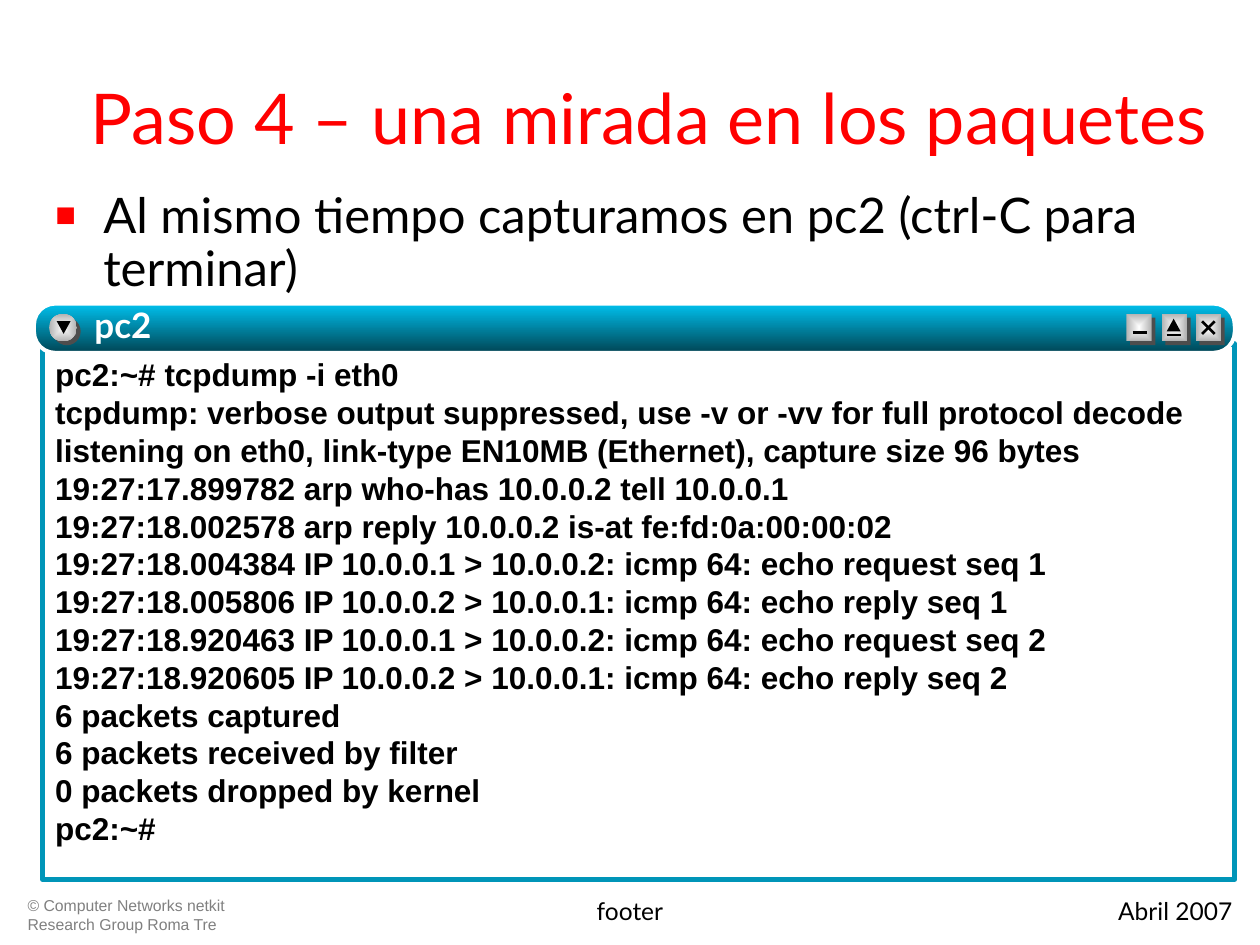
from lxml.etree import SubElement
from pptx import Presentation
from pptx.dml.color import RGBColor
from pptx.enum.shapes import MSO_CONNECTOR, MSO_SHAPE
from pptx.enum.text import MSO_ANCHOR, MSO_AUTO_SIZE, PP_ALIGN
from pptx.oxml import parse_xml
from pptx.oxml.ns import nsdecls, qn
from pptx.util import Pt

PX = 9144  # 100 px to the inch
BLACK = RGBColor(0x00, 0x00, 0x00)
WHITE = RGBColor(0xFF, 0xFF, 0xFF)
RED = RGBColor(0xFF, 0x00, 0x00)
GREY = RGBColor(0x80, 0x80, 0x80)
DARK = RGBColor(0x4D, 0x4D, 0x4D)
LIGHT = RGBColor(0xFE, 0xFE, 0xFE)
SILVER = RGBColor(0xB2, 0xB2, 0xB2)
FRAME = RGBColor(0x00, 0x95, 0xB8)
BAR_TOP = RGBColor(0x00, 0xC1, 0xEE)
BAR_BOTTOM = RGBColor(0x00, 0x45, 0x55)


def add_shape(parent, kind, x, y, w, h, fill):
    """Add a shape without line or shadow; two fill colours make a gradient."""
    sp = parent.shapes.add_shape(kind, x * PX, y * PX, w * PX, h * PX)
    sp.shadow.inherit = False
    sp.line.fill.background()
    if isinstance(fill, list):
        sp.fill.gradient()
        sp.fill.gradient_angle = 270
        for stop, color in zip(sp.fill.gradient_stops, fill):
            stop.color.rgb = color
    else:
        sp.fill.solid()
        sp.fill.fore_color.rgb = fill
    return sp


def write(tf, lines, size, font, color, bold=False, align=PP_ALIGN.LEFT):
    """Write one paragraph per line in a single style."""
    tf.word_wrap = True
    tf.auto_size = MSO_AUTO_SIZE.NONE
    for i, line in enumerate(lines):
        p = tf.paragraphs[0] if i == 0 else tf.add_paragraph()
        p.alignment = align
        p.space_before = Pt(0)
        r = p.add_run()
        r.text = line
        r.font.size = Pt(size)
        r.font.name = font
        r.font.bold = bold
        r.font.color.rgb = color


prs = Presentation()
prs.slide_width, prs.slide_height = 1000 * PX, 750 * PX
s = prs.slides.add_slide(prs.slide_layouts[1])

# Title
title = s.shapes.title
title.left, title.top, title.width, title.height = 50 * PX, 30 * PX, 930 * PX, 125 * PX
title.text_frame.vertical_anchor = MSO_ANCHOR.MIDDLE
write(title.text_frame, ["Paso 4 – una mirada en los paquetes"], 40, "Lato", RED,
      align=PP_ALIGN.CENTER)

# Bullet
body = s.placeholders[1]
body.left, body.top, body.width, body.height = 34 * PX, 147 * PX, 923 * PX, 98 * PX
write(body.text_frame, ["Al mismo tiempo capturamos en pc2 (ctrl-C para terminar)"],
      28, "Lato", BLACK)
p = body.text_frame.paragraphs[0]
p.line_spacing = 0.9
pPr = p._p.get_or_add_pPr()
pPr.set("marL", str(38 * PX))
pPr.set("indent", str(-38 * PX))
SubElement(SubElement(pPr, qn("a:buClr")), qn("a:srgbClr")).set("val", str(RED))
SubElement(pPr, qn("a:buSzPct")).set("val", "70000")
SubElement(pPr, qn("a:buFont")).set("typeface", "Arial")
SubElement(pPr, qn("a:buChar")).set("char", "■")

# Terminal window
terminal = add_shape(s, MSO_SHAPE.RECTANGLE, 34, 273, 946, 425, WHITE)
terminal.line.color.rgb = FRAME
terminal.line.width = Pt(3)
tf = terminal.text_frame
tf.vertical_anchor = MSO_ANCHOR.TOP
tf.margin_top = 9 * PX
write(tf, [
    "pc2:~# tcpdump -i eth0",
    "tcpdump: verbose output suppressed, use -v or -vv for full protocol decode",
    "listening on eth0, link-type EN10MB (Ethernet), capture size 96 bytes",
    "19:27:17.899782 arp who-has 10.0.0.2 tell 10.0.0.1",
    "19:27:18.002578 arp reply 10.0.0.2 is-at fe:fd:0a:00:00:02",
    "19:27:18.004384 IP 10.0.0.1 > 10.0.0.2: icmp 64: echo request seq 1",
    "19:27:18.005806 IP 10.0.0.2 > 10.0.0.1: icmp 64: echo reply seq 1",
    "19:27:18.920463 IP 10.0.0.1 > 10.0.0.2: icmp 64: echo request seq 2",
    "19:27:18.920605 IP 10.0.0.2 > 10.0.0.1: icmp 64: echo reply seq 2",
    "6 packets captured",
    "6 packets received by filter",
    "0 packets dropped by kernel",
    "pc2:~#",
], 18, "Arial", BLACK, bold=True)

# Title bar
bar = add_shape(s, MSO_SHAPE.ROUNDED_RECTANGLE, 27, 241, 953, 39, [BAR_TOP, BAR_BOTTOM])
bar.adjustments[0] = 0.43
bar.line.color.rgb = WHITE
bar.line.width = Pt(2.25)

# Raised buttons: a dark copy 3 px down and right under a light face
menu = s.shapes.add_group_shape()
controls = s.shapes.add_group_shape()
for group, kind, x, w in [
    (menu, MSO_SHAPE.OVAL, 39, 22),
    (controls, MSO_SHAPE.RECTANGLE, 894, 20),
    (controls, MSO_SHAPE.RECTANGLE, 922, 20),
    (controls, MSO_SHAPE.RECTANGLE, 949, 20),
]:
    add_shape(group, kind, x + 3, 252, w, 22, DARK)
    face = add_shape(group, kind, x, 249, w, 22, [LIGHT, SILVER])
    lin = face._element.spPr.find(".//" + qn("a:lin"))
    lin.getparent().replace(lin, parse_xml(
        f'<a:path {nsdecls("a")} path="rect">'
        '<a:fillToRect l="50000" t="50000" r="50000" b="50000"/></a:path>'))

# Button symbols
down = add_shape(menu, MSO_SHAPE.ISOSCELES_TRIANGLE, 45, 255, 11, 10, BLACK)
down._element.spPr.get_or_add_xfrm().set("flipV", "1")
add_shape(controls, MSO_SHAPE.ISOSCELES_TRIANGLE, 926, 253, 11, 10, BLACK)
for x1, y1, x2, y2 in [
    (899, 264, 910, 264),
    (926, 266, 937, 266),
    (954, 265, 964, 255),
    (954, 255, 964, 265),
]:
    line = controls.shapes.add_connector(
        MSO_CONNECTOR.STRAIGHT, x1 * PX, y1 * PX, x2 * PX, y2 * PX)
    line.line.color.rgb = BLACK
    line.line.width = Pt(1.5)
    SubElement(line._element.spPr, qn("a:effectLst"))

# Window name with a text shadow
name = s.shapes.add_textbox(75 * PX, 241 * PX, 260 * PX, 39 * PX)
tf = name.text_frame
tf.margin_left = tf.margin_top = tf.margin_right = tf.margin_bottom = 0
write(tf, ["pc2"], 20, "Lato", WHITE, bold=True)
rPr = tf.paragraphs[0].runs[0].font._element
rPr.find(qn("a:solidFill")).addnext(parse_xml(
    f'<a:effectLst {nsdecls("a")}><a:outerShdw dist="17961" dir="2700000">'
    '<a:srgbClr val="000000"/></a:outerShdw></a:effectLst>'))

# Footer row
for x, w, lines, size, font, color, align in [
    (12, 189, ["© Computer Networks netkit", "Research Group Roma Tre"],
     9, "Arial", GREY, PP_ALIGN.LEFT),
    (256, 488, ["footer"], 14, "Lato", BLACK, PP_ALIGN.CENTER),
    (760, 228, ["Abril 2007"], 14, "Lato", BLACK, PP_ALIGN.RIGHT),
]:
    box = s.shapes.add_textbox(x * PX, 706 * PX, w * PX, 36 * PX)
    write(box.text_frame, lines, size, font, color, align=align)

prs.save("out.pptx")
